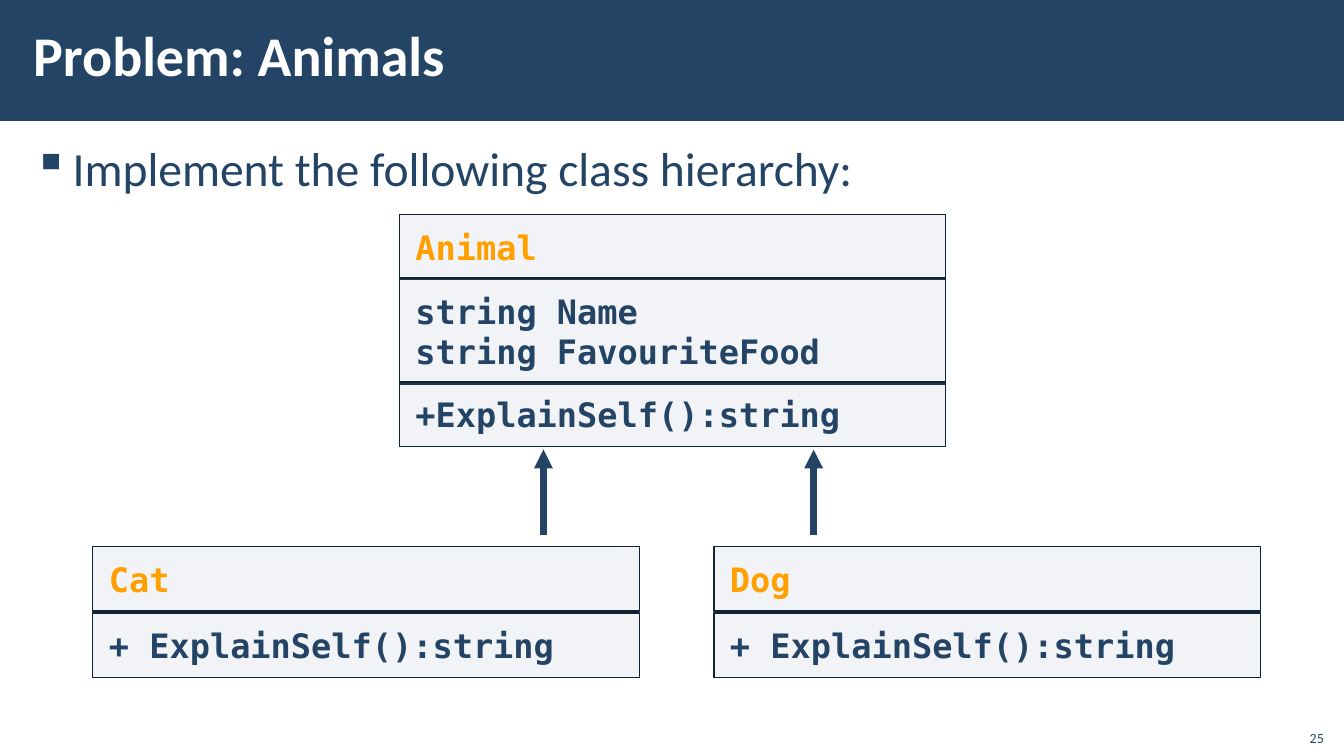
from pptx import Presentation
from pptx.dml.color import RGBColor
from pptx.enum.shapes import MSO_CONNECTOR, MSO_SHAPE
from pptx.enum.text import MSO_ANCHOR, MSO_AUTO_SIZE, PP_ALIGN
from pptx.oxml.ns import qn
from pptx.util import Inches, Pt
from lxml.etree import SubElement

NAVY = RGBColor(0x23, 0x44, 0x65)
OUTLINE = RGBColor(0x11, 0x22, 0x33)
GREY = RGBColor(0xAD, 0xB4, 0xC3)
ORANGE = RGBColor(0xFF, 0xA0, 0x00)
WHITE = RGBColor(0xFF, 0xFF, 0xFF)

BODY_FONT = "Calibri"
CODE_FONT = "DejaVu Sans Mono"

CLASS_WIDTH = 5.42
ROW_HEIGHT = 0.64


def set_margins(frame, side, top):
    frame.margin_left = frame.margin_right = Inches(side)
    frame.margin_top = frame.margin_bottom = Inches(top)


def style_font(font, name, size, color, bold=False):
    font.name = name
    font.size = Pt(size)
    font.color.rgb = color
    font.bold = bold


def add_text(page, area, text, size, color, bold=False, anchor=MSO_ANCHOR.TOP):
    box = page.shapes.add_textbox(*map(Inches, area))
    frame = box.text_frame
    frame.word_wrap = True
    frame.vertical_anchor = anchor
    set_margins(frame, 0.12, 0.04)
    para = frame.paragraphs[0]
    para.text = text
    style_font(para.runs[0].font, BODY_FONT, size, color, bold)
    return para


def add_bullet(para):
    props = para._p.get_or_add_pPr()
    props.set("marL", str(Inches(0.39)))
    props.set("indent", str(-Inches(0.39)))
    SubElement(props, qn("a:buChar"), char="▪")


def add_banner(page, deck):
    banner = page.shapes.add_shape(
        MSO_SHAPE.RECTANGLE, 0, 0, deck.slide_width, Inches(1.2))
    banner.shadow.inherit = False
    banner.fill.solid()
    banner.fill.fore_color.rgb = NAVY
    banner.line.fill.background()


def add_compartment(page, left, top, height, lines, color):
    box = page.shapes.add_shape(
        MSO_SHAPE.RECTANGLE, Inches(left), Inches(top),
        Inches(CLASS_WIDTH), Inches(height))
    box.shadow.inherit = False
    box.fill.solid()
    box.fill.fore_color.rgb = GREY
    fill_color = box.fill._xPr.find(qn("a:solidFill"))[0]
    SubElement(fill_color, qn("a:alpha"), val="15000")
    box.line.color.rgb = OUTLINE
    box.line.width = Pt(1)

    frame = box.text_frame
    frame.word_wrap = True
    frame.auto_size = MSO_AUTO_SIZE.SHAPE_TO_FIT_TEXT
    set_margins(frame, 0.16, 0.12)
    frame.text = "\n".join(lines)
    for para in frame.paragraphs:
        para.alignment = PP_ALIGN.LEFT
        for span in para.runs:
            style_font(span.font, CODE_FONT, 24, color, bold=True)


def add_subclass(page, name, left):
    add_compartment(page, left, 5.42, ROW_HEIGHT, [name], ORANGE)
    add_compartment(page, left, 6.08, ROW_HEIGHT,
                    ["+ ExplainSelf():string"], NAVY)


def add_arrow(page, x):
    arrow = page.shapes.add_connector(
        MSO_CONNECTOR.STRAIGHT, Inches(x), Inches(5.31), Inches(x), Inches(4.46))
    arrow.line.color.rgb = NAVY
    arrow.line.width = Pt(4.5)
    SubElement(arrow.line._get_or_add_ln(), qn("a:tailEnd"), type="triangle")
    SubElement(arrow._element.spPr, qn("a:effectLst"))


def main():
    deck = Presentation()
    deck.slide_width = Inches(13.33)
    deck.slide_height = Inches(7.5)
    page = deck.slides.add_slide(deck.slide_layouts[6])

    # Heading and task
    add_banner(page, deck)
    task = add_text(page, (0.21, 1.31, 12.92, 6.05),
                    "Implement the following class hierarchy:", 34, NAVY)
    task.line_spacing = 1.05
    task.space_after = Pt(6)
    add_bullet(task)
    title = add_text(page, (0.21, 0.11, 10.63, 0.97), "Problem: Animals",
                     40, WHITE, bold=True, anchor=MSO_ANCHOR.MIDDLE)
    title.line_spacing = Pt(40)

    # Base class
    base_left = 3.96
    add_compartment(page, base_left, 2.13, ROW_HEIGHT, ["Animal"], ORANGE)
    add_compartment(page, base_left, 2.76, 1.05,
                    ["string Name", "string FavouriteFood"], NAVY)
    add_compartment(page, base_left, 3.79, ROW_HEIGHT,
                    ["+ExplainSelf():string"], NAVY)

    # Derived classes with inheritance arrows
    for name, left, arrow_x in (("Cat", 0.92, 5.39), ("Dog", 7.08, 8.07)):
        add_subclass(page, name, left)
        add_arrow(page, arrow_x)

    # Page number
    number = add_text(page, (12.85, 7.12, 0.4, 0.32), "25", 10, NAVY,
                      anchor=MSO_ANCHOR.BOTTOM)
    number.alignment = PP_ALIGN.RIGHT

    deck.save("out.pptx")


if __name__ == "__main__":
    main()
